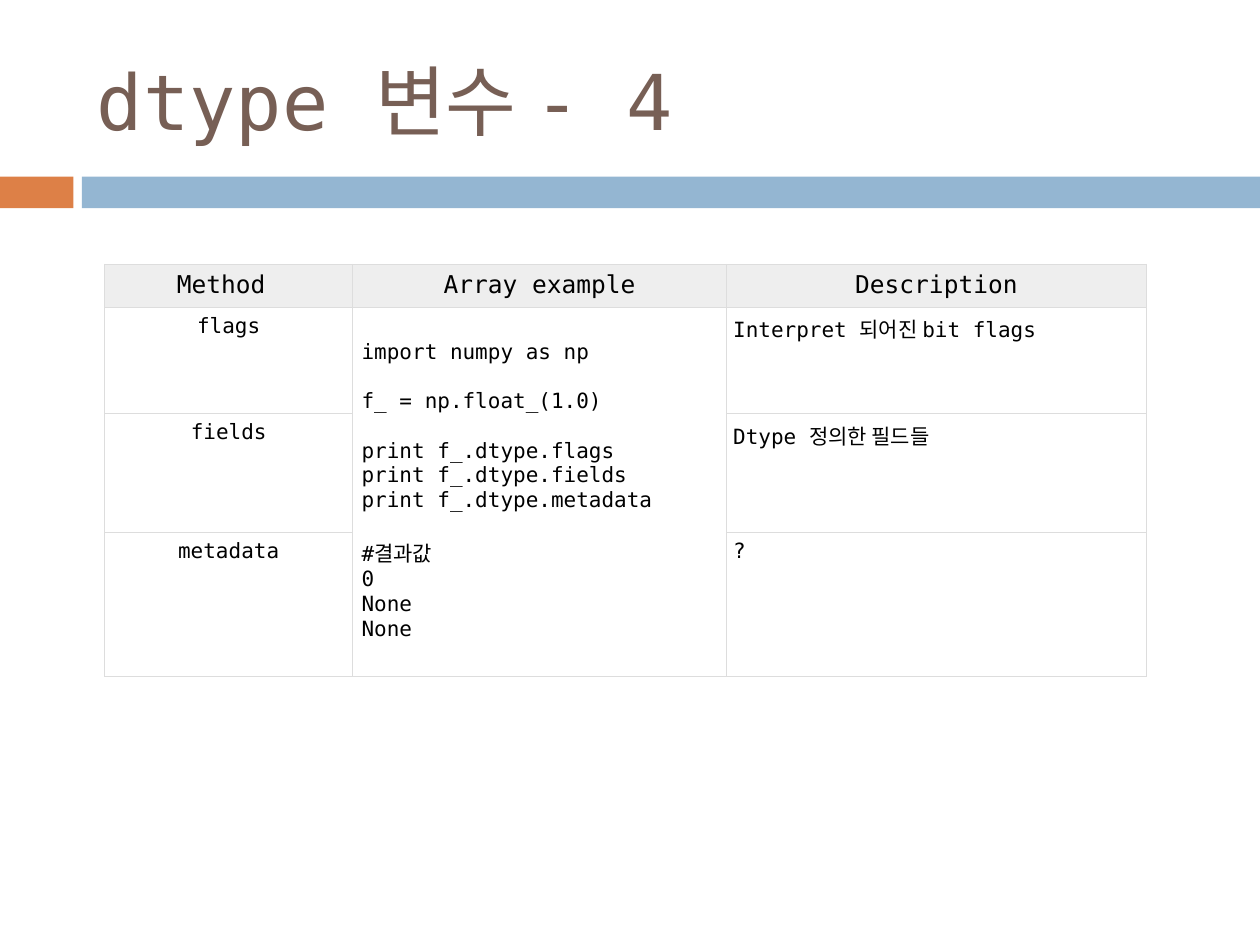
from lxml.etree import SubElement
from pptx import Presentation
from pptx.dml.color import RGBColor
from pptx.enum.shapes import MSO_SHAPE
from pptx.enum.text import MSO_ANCHOR, PP_ALIGN
from pptx.oxml.ns import qn
from pptx.util import Cm, Pt

COLORS = {
    "title": "775F55",
    "orange": "DD8047",
    "blue": "94B6D2",
    "header": "EEEEEE",
    "border": "DDDDDD",
    "text": "000000",
}
FONT = "DejaVu Sans Mono"


def write_text(frame, text, size=12, color="text", align=PP_ALIGN.LEFT, gap=14):
    """Write one paragraph per line; a blank line puts a gap before the next."""
    frame.word_wrap = True
    paragraph = frame.paragraphs[0]
    for group_index, group in enumerate(text.split("\n\n")):
        for line_index, line in enumerate(group.split("\n")):
            if group_index or line_index:
                paragraph = frame.add_paragraph()
            if group_index and not line_index:
                paragraph.space_before = Pt(gap)
            paragraph.alignment = align
            run = paragraph.add_run()
            run.text = line
            run.font.name = FONT
            run.font.size = Pt(size)
            run.font.color.rgb = RGBColor.from_string(COLORS[color])


def set_borders(cell, color, width):
    properties = cell._tc.get_or_add_tcPr()
    for index, side in enumerate(("a:lnL", "a:lnR", "a:lnT", "a:lnB")):
        line = properties.makeelement(qn(side), {"w": str(Pt(width))})
        properties.insert(index, line)
        fill = SubElement(line, qn("a:solidFill"))
        SubElement(fill, qn("a:srgbClr"), val=COLORS[color])


presentation = Presentation()
presentation.slide_width = Cm(25.4)
presentation.slide_height = Cm(19.05)
slide = presentation.slides.add_slide(presentation.slide_layouts[6])

# Band under the title
for left, width, color in ((0, 1.48, "orange"), (1.65, 23.75, "blue")):
    band = slide.shapes.add_shape(
        MSO_SHAPE.RECTANGLE, Cm(left), Cm(3.56), Cm(width), Cm(0.64))
    band.shadow.inherit = False
    band.fill.solid()
    band.fill.fore_color.rgb = RGBColor.from_string(COLORS[color])
    band.line.fill.background()

title = slide.shapes.add_textbox(Cm(1.7), Cm(0.64), Cm(22.66), Cm(2.74))
title.text_frame.vertical_anchor = MSO_ANCHOR.MIDDLE
write_text(title.text_frame, "dtype 변수 - 4", size=44, color="title")

# Table of dtype attributes
example = """import numpy as np

f_ = np.float_(1.0)

print f_.dtype.flags
print f_.dtype.fields
print f_.dtype.metadata

#결과값
0
None
None"""
rows = [
    ("Method ", "Array example", "Description"),
    ("flags", example, "Interpret 되어진 bit flags"),
    ("fields", "", "Dtype 정의한 필드들"),
    ("metadata", "", "?"),
]
column_widths = (5, 7.54, 8.46)
row_heights = (0.86, 2.15, 2.4, 2.9)

table = slide.shapes.add_table(
    len(rows), len(column_widths), Cm(2.11), Cm(5.33),
    Cm(sum(column_widths)), Cm(sum(row_heights))).table
table.first_row = False
table.horz_banding = False
for column, width in zip(table.columns, column_widths):
    column.width = Cm(width)
for row, height in zip(table.rows, row_heights):
    row.height = Cm(height)
table.cell(1, 1).merge(table.cell(3, 1))

for row_index, texts in enumerate(rows):
    is_header = row_index == 0
    for column_index, text in enumerate(texts):
        cell = table.cell(row_index, column_index)
        cell.margin_left = cell.margin_right = Cm(0.13)
        cell.margin_top = cell.margin_bottom = Cm(0.13)
        if is_header:
            cell.fill.solid()
            cell.fill.fore_color.rgb = RGBColor.from_string(COLORS["header"])
        else:
            cell.fill.background()
        set_borders(cell, "border", 0.6)
        if text:
            centered = is_header or column_index == 0
            write_text(cell.text_frame, text, size=14 if is_header else 12,
                       align=PP_ALIGN.CENTER if centered else PP_ALIGN.LEFT)

code_cell = table.cell(1, 1)
code_cell.margin_left = code_cell.margin_right = Cm(0.18)
code_cell.margin_top = Cm(0.67)

presentation.save("out.pptx")
